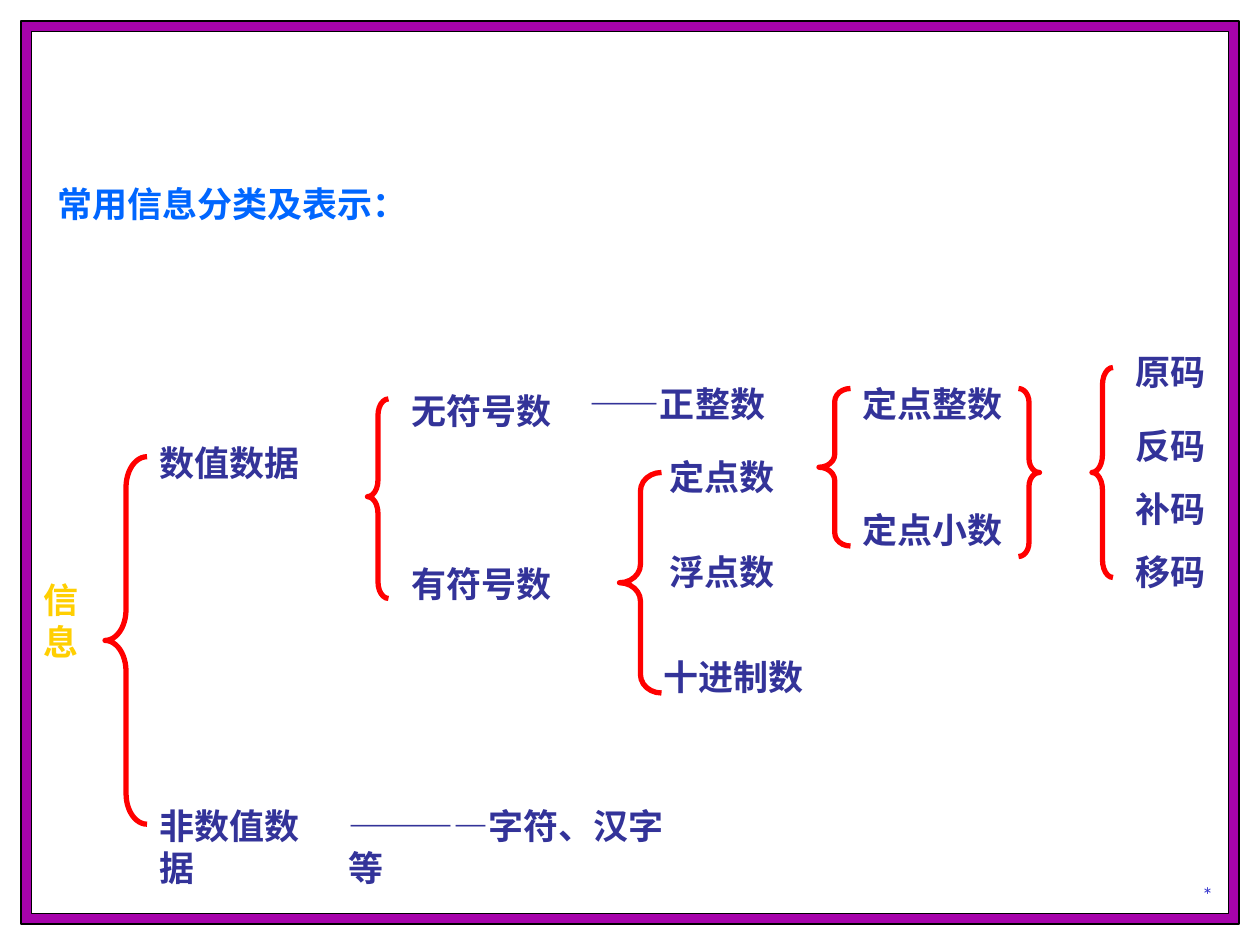
from lxml import etree
from pptx import Presentation
from pptx.dml.color import RGBColor
from pptx.enum.shapes import MSO_SHAPE
from pptx.enum.text import MSO_ANCHOR, MSO_AUTO_SIZE, PP_ALIGN
from pptx.oxml.ns import qn
from pptx.util import Inches, Pt

RECTANGLE = MSO_SHAPE.RECTANGLE
LEFT_BRACE, RIGHT_BRACE = MSO_SHAPE.LEFT_BRACE, MSO_SHAPE.RIGHT_BRACE
TOP, BOTTOM = MSO_ANCHOR.TOP, MSO_ANCHOR.BOTTOM
LEFT, CENTER = PP_ALIGN.LEFT, PP_ALIGN.CENTER
FIXED, GROW = MSO_AUTO_SIZE.NONE, MSO_AUTO_SIZE.SHAPE_TO_FIT_TEXT

COLUMNS, ROWS = 120, 90
WIDTH, HEIGHT = Inches(10), Inches(7.5)
LABEL_HEIGHT = 5.25
FONT, FOOTER_FONT = "Noto Sans CJK SC", "Lato"
COLORS = {
    "frame": "A603AB",
    "paper": "FFFFFF",
    "edge": "000000",
    "title": "0066FF",
    "root": "FFCF01",
    "label": "333399",
    "footer": "3333CC",
    "brace": "FF0000",
}

FRAMES = [("frame", 2), ("paper", 3)]
TITLE = ("常用信息分类及表示：", (4.25, 11, 110, 11))
ROOT = ("信\n息", (3, 54.5, 5.8, 9.25))
FOOTER = ("*", (104, 81, 22, 6))
LABELS = [
    (14, 15.75, [("数值数据", 41.5)]),
    (14, 19, [("非数值数据", 76)]),
    (32, 35.75, [("————字符、汉字等", 76)]),
    (38, 15.75, [("无符号数", 36.5), ("有符号数", 53)]),
    (55, 19.2, [("——正整数", 35.8)]),
    (62.6, 12.4, [("定点数", 42.8), ("浮点数", 51.8)]),
    (62, 15.75, [("十进制数", 61.8)]),
    (81, 15.75, [("定点整数", 35.8), ("定点小数", 47.8)]),
    (107, 9.05, [("原码", 32.8), ("反码", 39.8), ("补码", 45.8), ("移码", 51.8)]),
]
BRACES = [
    (LEFT_BRACE, (10, 43.5, 4, 35), 0.5),
    (LEFT_BRACE, (35, 38, 2, 19), 0.49),
    (LEFT_BRACE, (59, 45, 4, 21), 0.5),
    (LEFT_BRACE, (78, 37, 3, 15), 0.5),
    (RIGHT_BRACE, (97, 37, 2, 16), 0.5),
    (LEFT_BRACE, (104, 35, 2, 20), 0.5),
]


def place(box):
    left, top, width, height = box
    column, row = WIDTH / COLUMNS, HEIGHT / ROWS
    return [int(v) for v in (left * column, top * row, width * column, height * row)]


def color(name):
    return RGBColor.from_string(COLORS[name])


def add_outlined(slide, kind, box, line_color, line_width):
    shape = slide.shapes.add_shape(kind, *place(box))
    shape.shadow.inherit = False
    shape.line.color.rgb = color(line_color)
    shape.line.width = Pt(line_width)
    return shape


def add_text(slide, text, box, color_name, size=20, font=FONT, bold=True,
             anchor=TOP, align=LEFT, wrap=False):
    frame = slide.shapes.add_textbox(*place(box)).text_frame
    frame.word_wrap = wrap
    frame.auto_size = FIXED if wrap else GROW
    frame.vertical_anchor = anchor
    frame.text = text
    for paragraph in frame.paragraphs:
        paragraph.alignment = align
        for run in paragraph.runs:
            run.font.size = Pt(size)
            run.font.bold = bold
            run.font.name = font
            run.font.color.rgb = color(color_name)
            etree.SubElement(run.font._element, qn("a:ea"), typeface=font)


def main():
    presentation = Presentation()
    presentation.slide_width, presentation.slide_height = WIDTH, HEIGHT
    slide = presentation.slides.add_slide(presentation.slide_layouts[6])

    for name, margin in FRAMES:
        box = (margin, margin, COLUMNS - 2 * margin, ROWS - 2 * margin)
        shape = add_outlined(slide, RECTANGLE, box, "edge", 0.75)
        shape.fill.solid()
        shape.fill.fore_color.rgb = color(name)

    add_text(slide, *FOOTER, "footer", size=12, font=FOOTER_FONT, bold=False,
             anchor=BOTTOM, align=CENTER, wrap=True)
    add_text(slide, *TITLE, "title", anchor=BOTTOM, wrap=True)
    add_text(slide, *ROOT, "root")
    for left, width, entries in LABELS:
        for text, top in entries:
            add_text(slide, text, (left, top, width, LABEL_HEIGHT), "label")

    for kind, box, middle in BRACES:
        brace = add_outlined(slide, kind, box, "brace", 3)
        brace.fill.background()
        brace.adjustments[0] = box[3] / 12 / box[2]
        brace.adjustments[1] = middle

    presentation.save("out.pptx")


if __name__ == "__main__":
    main()
